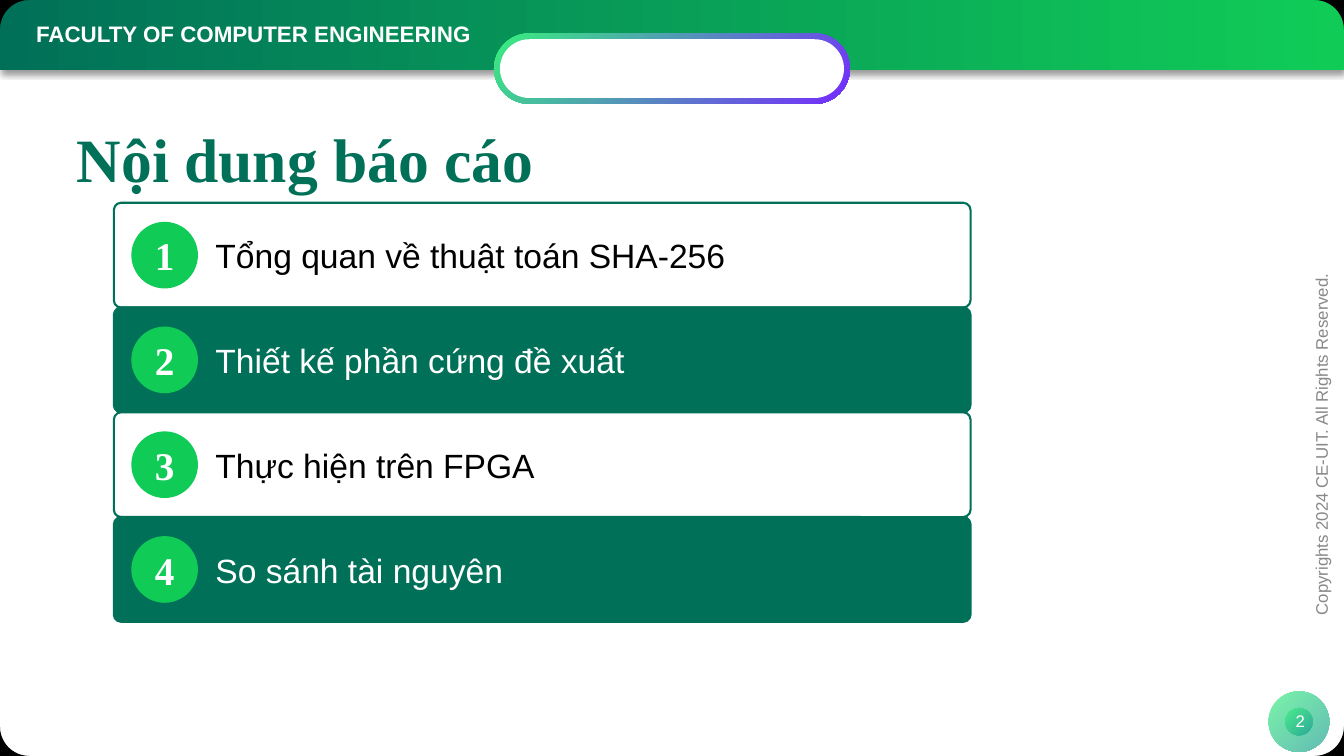
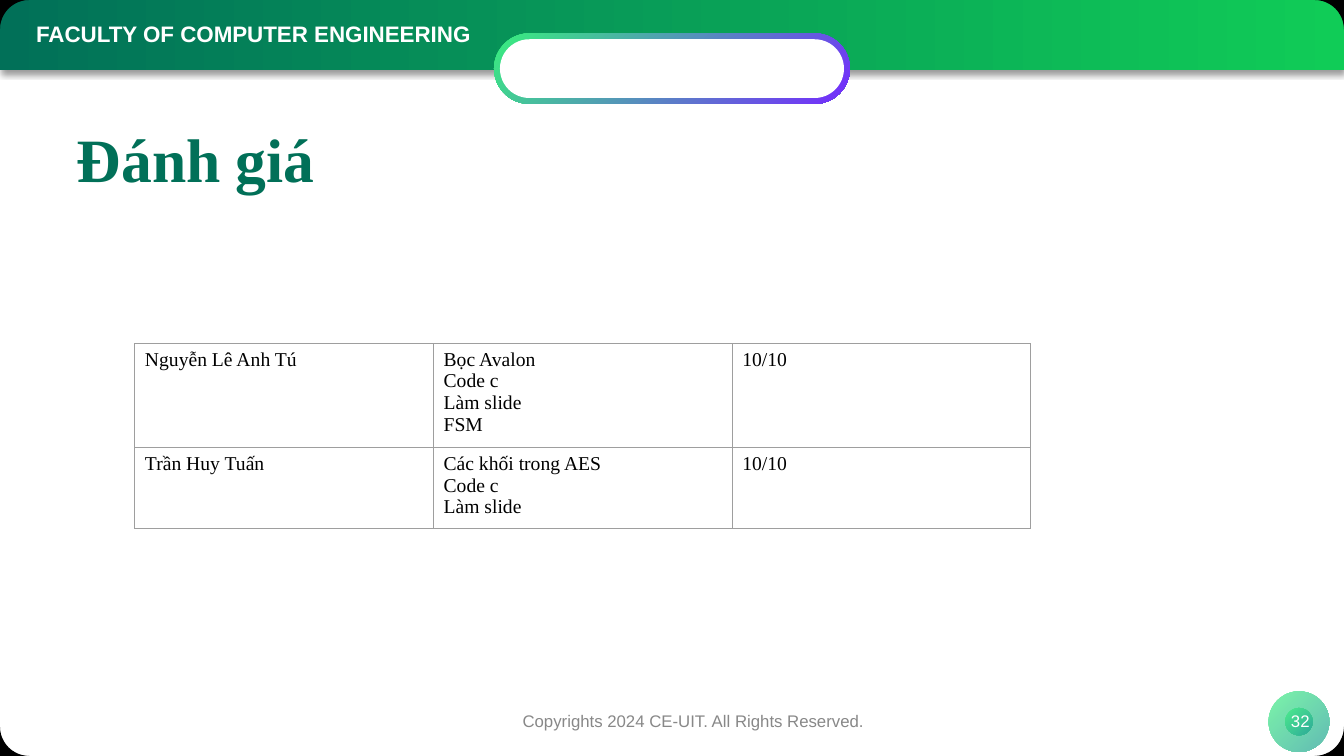
from math import cos, pi, sin

from lxml import etree
from pptx import Presentation
from pptx.dml.color import RGBColor
from pptx.enum.shapes import MSO_SHAPE
from pptx.enum.text import MSO_ANCHOR, MSO_AUTO_SIZE, PP_ALIGN
from pptx.oxml.ns import qn
from pptx.util import Cm, Pt

RECTANGLE = MSO_SHAPE.RECTANGLE
ROUNDED = MSO_SHAPE.ROUNDED_RECTANGLE
OVAL = MSO_SHAPE.OVAL
MIDDLE = MSO_ANCHOR.MIDDLE
LEFT, CENTER = PP_ALIGN.LEFT, PP_ALIGN.CENTER

SANS, SERIF = "Arial", "Times New Roman"
COLORS = {
    "dark": "017058",
    "bright": "10CC57",
    "mint": "38EF7D",
    "teal": "11998E",
    "violet": "752AFF",
    "white": "FFFFFF",
    "black": "000000",
    "gray": "888888",
    "border": "9E9E9E",
}
SLIDE_WIDTH, SLIDE_HEIGHT = Cm(33.87), Cm(19.05)
COPYRIGHT = "Copyrights 2024 CE-UIT. All Rights Reserved."


def color(name):
    return RGBColor.from_string(COLORS[name])


def box(left, top, width, height):
    return Cm(left), Cm(top), Cm(width), Cm(height)


def style_text(frame, text, size, color_name, font=SANS, bold=False, align=LEFT):
    """Write text, one paragraph a line, in a single style."""
    frame.text = text
    for paragraph in frame.paragraphs:
        paragraph.alignment = align
        paragraph.font.name = font
        paragraph.font.size = Pt(size)
        paragraph.font.bold = bold
        paragraph.font.color.rgb = color(color_name)


def add_text(slide, area, text, size, color_name, **style):
    text_box = slide.shapes.add_textbox(*area)
    text_box.text_frame.word_wrap = True
    text_box.text_frame.vertical_anchor = MIDDLE
    style_text(text_box.text_frame, text, size, color_name, **style)
    return text_box


def add_filled(slide, kind, area, fill, line=None, corner=None):
    shape = slide.shapes.add_shape(kind, *area)
    shape.shadow.inherit = False
    if corner is not None:
        shape.adjustments[0] = corner
    shape.fill.solid()
    shape.fill.fore_color.rgb = color(fill)
    if line:
        shape.line.color.rgb = color(line)
        shape.line.width = Pt(1.5)
    else:
        shape.line.fill.background()
    return shape


def add_gradient(slide, kind, area, start, end, angle, corner=None, opacity=None):
    """Add a two-colour shape; the angle runs clockwise."""
    shape = add_filled(slide, kind, area, start, corner=corner)
    shape.fill.gradient()
    shape.fill.gradient_angle = -angle % 360
    for stop, name in zip(shape.fill.gradient_stops, (start, end)):
        stop.color.rgb = color(name)
    if opacity is not None:
        for stop_color in shape.element.iter(qn("a:srgbClr")):
            etree.SubElement(stop_color, qn("a:alpha"), val=str(opacity * 1000))
    return shape


def add_drop_shadow(shape):
    effects = shape.element.spPr.find(qn("a:effectLst"))
    shadow = etree.SubElement(effects, qn("a:outerShdw"), blurRad=str(Pt(4)),
                              dist=str(Pt(3)), dir="5400000", algn="t", rotWithShape="0")
    shadow_color = etree.SubElement(shadow, qn("a:srgbClr"), val=COLORS["black"])
    etree.SubElement(shadow_color, qn("a:alpha"), val="40000")


def add_corners(slide):
    """Black corner pieces that make the slide look rounded."""
    radius, steps = Cm(0.74), 12
    builder = None
    for x, x_sign in ((0, 1), (SLIDE_WIDTH, -1)):
        for y, y_sign in ((0, 1), (SLIDE_HEIGHT, -1)):
            arc = [
                (x + x_sign * radius * (1 - cos(step * pi / 2 / steps)),
                 y + y_sign * radius * (1 - sin(step * pi / 2 / steps)))
                for step in range(steps + 1)
            ]
            if builder is None:
                builder = slide.shapes.build_freeform(x, y)
            else:
                builder.move_to(x, y)
            builder.add_line_segments(arc, close=True)
    corners = builder.convert_to_shape()
    corners.shadow.inherit = False
    corners.fill.solid()
    corners.fill.fore_color.rgb = color("black")
    corners.line.fill.background()


def decorate_layout(layout, slide):
    """Draw the shared header, badge and corners, then move them to the layout."""
    existing = len(slide.shapes)
    header = add_gradient(slide, RECTANGLE, (0, 0, SLIDE_WIDTH, Cm(1.77)),
                          "dark", "bright", 0)
    add_drop_shadow(header)
    add_text(slide, box(0.66, 0.38, 20.6, 0.94), "FACULTY OF COMPUTER ENGINEERING",
             16, "white", bold=True)
    # Capsule
    add_gradient(slide, ROUNDED, box(12.45, 0.84, 8.97, 1.78),
                 "mint", "violet", 45, corner=0.5)
    add_filled(slide, ROUNDED, box(12.6, 0.99, 8.67, 1.48), "white", corner=0.5)
    # Page number badge
    for offset, diameter in ((0, 1.53), (0.42, 0.69)):
        add_gradient(slide, OVAL, box(31.97 + offset, 17.42 + offset, diameter, diameter),
                     "mint", "teal", 45, opacity=65)
    add_corners(slide)
    for shape in list(slide.shapes)[existing:]:
        layout.shapes.element.append(shape.element)


def set_title(slide, text):
    title = slide.shapes.title
    title.left, title.top, title.width, title.height = box(1.68, 2.87, 30.5, 2.46)
    frame = title.text_frame
    frame.auto_size = MSO_AUTO_SIZE.NONE
    frame.vertical_anchor = MIDDLE
    style_text(frame, text, 44, "dark", font=SERIF, bold=True)
    frame.paragraphs[0].line_spacing = 0.9


def add_footer(slide, page, copyright_area, rotation=0):
    notice = add_text(slide, copyright_area, COPYRIGHT, 12, "gray", align=CENTER)
    notice.rotation = rotation
    add_text(slide, box(31.77, 17.66, 2, 1.02), page, 12, "white", align=CENTER)


def add_agenda(slide, items):
    left, first_top, height = 2.87, 5.11, 2.64
    for index, item in enumerate(items):
        top = first_top + index * height
        fill, text_color = (("white", "black"), ("dark", "white"))[index % 2]
        add_filled(slide, ROUNDED, box(left, top, 21.59, height), fill,
                   line="dark", corner=0.07)
        number = add_filled(slide, OVAL, box(left + 0.44, top + 0.48, 1.68, 1.68), "bright")
        style_text(number.text_frame, str(index + 1), 28, "white",
                   font=SERIF, bold=True, align=CENTER)
        add_text(slide, box(left + 2.31, top + 0.69, 18.5, 1.27), item, 24, text_color)


def set_cell_borders(cell):
    properties = cell._tc.get_or_add_tcPr()
    for position, side in enumerate(("a:lnL", "a:lnR", "a:lnT", "a:lnB")):
        line = etree.Element(qn(side), w=str(Pt(0.75)))
        fill = etree.SubElement(line, qn("a:solidFill"))
        etree.SubElement(fill, qn("a:srgbClr"), val=COLORS["border"])
        properties.insert(position, line)


def add_review_table(slide, rows, row_heights):
    area = box(3.4, 8.66, 22.58, sum(row_heights))
    table = slide.shapes.add_table(len(rows), len(rows[0]), *area).table
    table.first_row = table.horz_banding = False
    for row, height, texts in zip(table.rows, row_heights, rows):
        row.height = Cm(height)
        for cell, text in zip(row.cells, texts):
            cell.fill.background()
            set_cell_borders(cell)
            style_text(cell.text_frame, text, 14, "black", font=SERIF)


def main():
    presentation = Presentation()
    presentation.slide_width, presentation.slide_height = SLIDE_WIDTH, SLIDE_HEIGHT
    layout = presentation.slide_layouts[5]

    # Agenda
    agenda = presentation.slides.add_slide(layout)
    decorate_layout(layout, agenda)
    set_title(agenda, "Nội dung báo cáo")
    add_footer(agenda, "2", box(27.58, 10.69, 11.43, 1.02), rotation=270)
    add_agenda(agenda, [
        "Tổng quan về thuật toán SHA-256",
        "Thiết kế phần cứng đề xuất",
        "Thực hiện trên FPGA",
        "So sánh tài nguyên",
    ])

    # Review
    review = presentation.slides.add_slide(layout)
    set_title(review, "Đánh giá")
    add_footer(review, "32", box(11.76, 17.66, 11.43, 1.02))
    add_review_table(review, [
        ("Nguyễn Lê Anh Tú", "Bọc Avalon\nCode c\nLàm slide\nFSM", "10/10"),
        ("Trần Huy Tuấn", "Các khối trong AES\nCode c\nLàm slide", "10/10"),
    ], row_heights=(2.45, 1.9))

    presentation.save("out.pptx")


if __name__ == "__main__":
    main()
